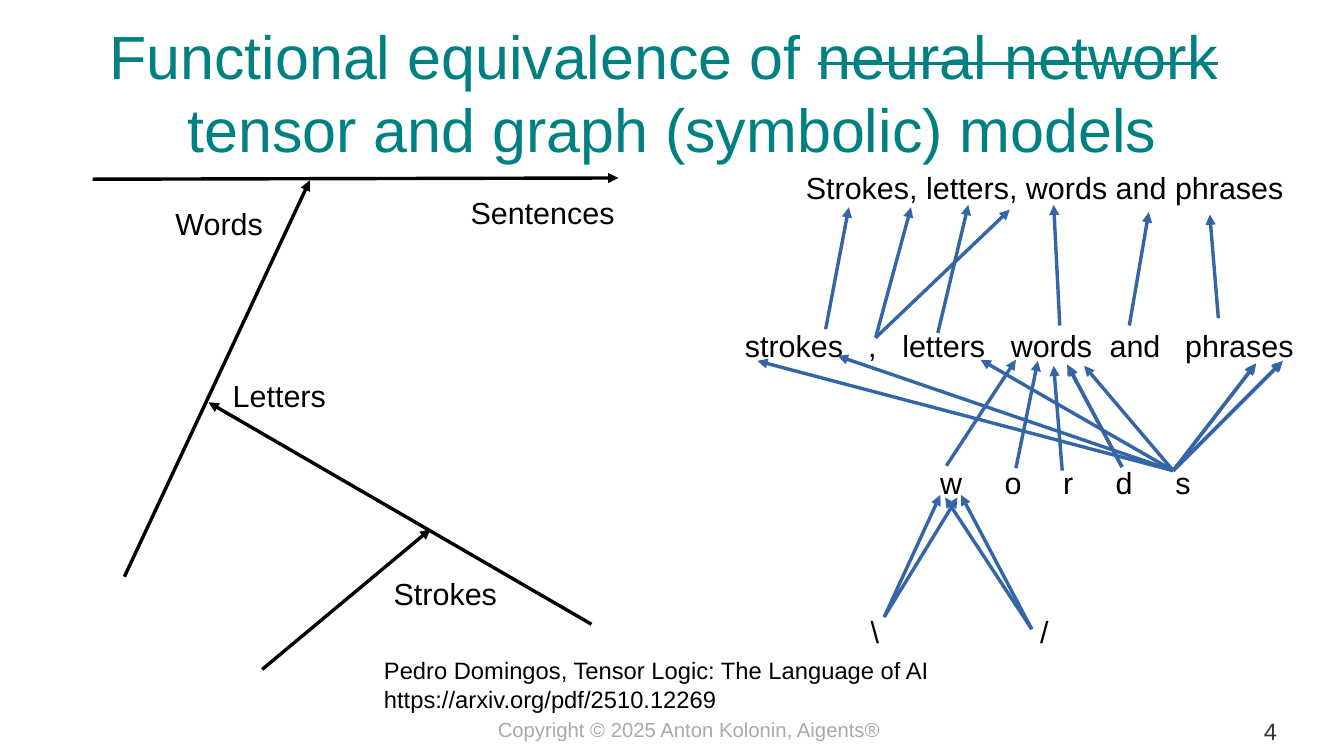
from pptx import Presentation
from pptx.dml.color import RGBColor
from pptx.enum.shapes import MSO_CONNECTOR
from pptx.enum.text import MSO_ANCHOR as ANCHOR, PP_ALIGN as ALIGN
from pptx.oxml.ns import qn
from pptx.util import Inches, Pt
from lxml.etree import SubElement

# The slide is a grid of square cells, a tenth of an inch wide
CELL = Inches(0.1)
COLS, ROWS = 110.2, 62
INSET = 1
LINE_H = 3.8
FONT = "Arial"
COLORS = {
    "title": "008080",
    "text": "000000",
    "link": "3465A4",
    "footer": "A9A9A9",
    "number": "333333",
}

# Left diagram: axes of the tensor view, and their labels
AXES = [
    ((7.6, 14.7), (50.7, 14.6)),
    ((10.2, 47.3), (25.4, 14.8)),
    ((48.5, 51.2), (17.1, 33)),
    ((21.5, 54.9), (35.3, 43.4)),
]
AXIS_LABELS = [
    ("Sentences", 37.6, 15.4, 14),
    ("Words", 13.4, 16.3, 9.5),
    ("Letters", 18.1, 30.4, 10),
    ("Strokes", 31.3, 46.7, 11),
]

# Right diagram: token rows as left, top, width, tokens, tab stops
TOKEN_ROWS = [
    (65.1, 13.4, 42, ["Strokes, letters, words and phrases"], []),
    (60.1, 26.3, 48, ["strokes", ",", "letters", "words", "and", "phrases"],
     [10.1, 12.9, 21.8, 29.9, 36.1]),
    (76.1, 37.6, 24, ["w", "o", "r", "d", "s"], [5.3, 10.1, 14.4, 19.3]),
    (70.4, 49.8, 18, ["\\", "/"], [13.9]),
]

# Right diagram: each start point with the tips of its arrows
LINKS = [
    # words to the sentence
    ((67.7, 27), [(69.6, 17)]),
    ((71.8, 27.7), [(74.7, 17), (82.8, 17.2)]),
    ((76.9, 27.3), [(79.4, 16.8)]),
    ((86.9, 26.7), [(86.4, 16.8)]),
    ((92.6, 26.7), [(94.2, 17.4)]),
    ((99.9, 26.1), [(99.2, 17.6)]),
    # letters to words
    ((77.6, 38.2), [(83.3, 29.5)]),
    ((83.3, 38.4), [(85.1, 29.6)]),
    ((87.1, 38.6), [(86.4, 30)]),
    ((92, 38.3), [(87.5, 29.9), (87.6, 30)]),
    ((96.2, 38.6), [(62.1, 29.6), (68.7, 29.2), (80.4, 29.5), (88.9, 30),
                    (102.9, 29.9), (103, 29.8), (105.1, 29.7),
                    (105.2, 29.6)]),
    # strokes to the letter w
    ((72.5, 50.6), [(77.1, 40.6), (78.5, 40.8)]),
    ((84.6, 51.6), [(77.5, 40.8), (78.8, 40.6)]),
]


def cells(*values):
    return [round(v * CELL) for v in values]


def add_tabs(p, stops):
    tabs = SubElement(p._p.get_or_add_pPr(), qn("a:tabLst"))
    for pos in cells(*stops):
        SubElement(tabs, qn("a:tab"), pos=str(pos), algn="l")


def add_text(s, lines, left, top, width, height=LINE_H, size=18, color="text",
             align=ALIGN.LEFT, anchor=ANCHOR.TOP, inset=INSET, stops=()):
    """Each line is a list of (text, struck) runs or a plain string."""
    tf = s.shapes.add_textbox(*cells(left, top, width, height)).text_frame
    tf.word_wrap = True
    tf.vertical_anchor = anchor
    tf.margin_left, tf.margin_right = cells(inset, inset)
    tf.margin_top, tf.margin_bottom = cells(inset / 2, inset / 2)
    for i, line in enumerate(lines):
        p = tf.add_paragraph() if i else tf.paragraphs[0]
        p.alignment = align
        if stops:
            add_tabs(p, stops)
        p.font.name = FONT
        p.font.size = Pt(size)
        p.font.color.rgb = RGBColor.from_string(COLORS[color])
        runs = [(line, False)] if isinstance(line, str) else line
        for text, struck in runs:
            r = p.add_run()
            r.text = text
            if struck:
                r._r.get_or_add_rPr().set("strike", "sngStrike")


def add_arrow(s, start, tip, color):
    arrow = s.shapes.add_connector(MSO_CONNECTOR.STRAIGHT,
                                   *cells(*start, *tip))
    arrow.line.color.rgb = RGBColor.from_string(COLORS[color])
    arrow.line.width = Pt(0)
    SubElement(arrow.line._get_or_add_ln(), qn("a:tailEnd"), type="triangle")
    SubElement(arrow._element.spPr, qn("a:effectLst"))


def add_tensor_view(s):
    for start, tip in AXES:
        add_arrow(s, start, tip, "text")
    for label, left, top, width in AXIS_LABELS:
        add_text(s, [label], left, top, width)


def add_graph_view(s):
    for left, top, width, tokens, stops in TOKEN_ROWS:
        add_text(s, ["\t".join(tokens)], left, top, width, stops=stops)
    for start, tips in LINKS:
        for tip in tips:
            add_arrow(s, start, tip, "link")


def main():
    prs = Presentation()
    prs.slide_width, prs.slide_height = cells(COLS, ROWS)
    s = prs.slides.add_slide(prs.slide_layouts[6])

    # Title
    add_text(s, [[("Functional equivalence of ", False),
                  ("neural network", True), (" ", False)],
                 "tensor and graph (symbolic) models"],
             0, 0, COLS, 15, size=36, color="title",
             align=ALIGN.CENTER, anchor=ANCHOR.MIDDLE)

    # Diagrams
    add_graph_view(s)
    add_tensor_view(s)

    # Reference and footer
    add_text(s, ["Pedro Domingos, Tensor Logic: The Language of AI",
                 "https://arxiv.org/pdf/2510.12269"],
             30.5, 53.3, 48, 7.5, size=14)
    add_text(s, ["Copyright © 2025 Anton Kolonin, Aigents®"],
             31.2, 58.8, 50.6, 2, size=12, color="footer",
             align=ALIGN.CENTER, inset=0)
    add_text(s, ["4"], 96.5, 58.8, 8.2, 2, size=14, color="number",
             align=ALIGN.RIGHT, inset=0)

    prs.save("out.pptx")


if __name__ == "__main__":
    main()
